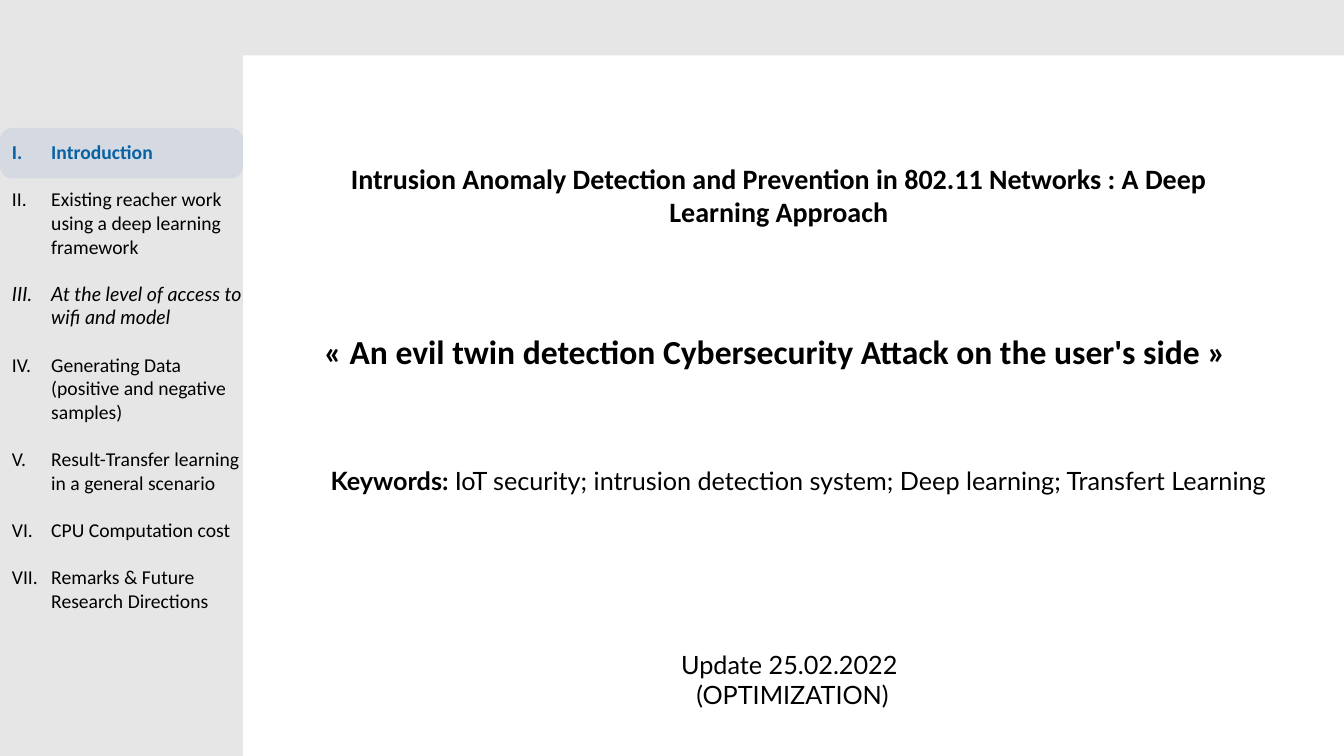
from lxml import etree
from pptx import Presentation
from pptx.dml.color import RGBColor
from pptx.enum.shapes import MSO_SHAPE
from pptx.enum.text import MSO_AUTO_SIZE, PP_ALIGN
from pptx.oxml.ns import qn
from pptx.util import Inches, Pt

RECTANGLE, ROUNDED = MSO_SHAPE.RECTANGLE, MSO_SHAPE.ROUNDED_RECTANGLE
CENTER, LEFT = PP_ALIGN.CENTER, PP_ALIGN.LEFT
FIT_TEXT = MSO_AUTO_SIZE.SHAPE_TO_FIT_TEXT
COLORS = {"panel": "E7E6E6", "highlight": "4472C4", "active": "0060A0", "text": "000000"}

presentation = Presentation()
presentation.slide_width, presentation.slide_height = Inches(13.33), Inches(7.5)
COLUMN = presentation.slide_width / 100
ROW = presentation.slide_height / 100
SIDEBAR = 18.08
slide = presentation.slides.add_slide(presentation.slide_layouts[6])


def span(left, top, width, height):
    """Turn columns and rows of a 100 by 100 grid into slide lengths."""
    return [int(value) for value in (left * COLUMN, top * ROW, width * COLUMN, height * ROW)]


def write(paragraph, text, size=18, font="Lato", color="text", bold=False, italic=False,
          align=CENTER, before=0):
    paragraph.alignment = align
    paragraph.space_before = Pt(before)
    run = paragraph.add_run()
    run.text = text
    run.font.size = Pt(size)
    run.font.name = font
    run.font.bold = bold
    run.font.italic = italic
    run.font.color.rgb = RGBColor.from_string(COLORS[color])


# Grey frame: sidebar and top band
for area in [(0, 0, SIDEBAR, 100), (1.28, 0, 98.72, 7.33)]:
    panel = slide.shapes.add_shape(RECTANGLE, *span(*area))
    panel.shadow.inherit = False
    panel.fill.solid()
    panel.fill.fore_color.rgb = RGBColor.from_string(COLORS["panel"])
    panel.line.fill.background()

# Each text box: its area, then paragraphs made of (text, format) runs
heading = {"font": "Calibri", "bold": True}
menu = {"font": "Calibri", "size": 14, "align": LEFT, "before": 17}
title_area = (21.68, 20.67, 72.54, 29.2)
keywords_area = (21.53, 60.93, 76.22, 5.33)
update_area = (20.86, 85.2, 76.22, 9.47)
menu_area = (-2.85, 17.87, 21.68, 70.4)
text_boxes = [
    (title_area, [
        [("Intrusion Anomaly Detection and Prevention in 802.11 Networks : "
          "A Deep Learning Approach", heading | {"size": 20})],
        [("« An evil twin detection Cybersecurity Attack on the user's side » ",
          heading | {"size": 24, "before": 73})],
    ]),
    (keywords_area, [
        [("Keywords: ", {"bold": True}),
         ("IoT security; intrusion detection system; Deep learning; Transfert Learning ", {})],
    ]),
    (update_area, [[("Update 25.02.2022 ", {})], [("(OPTIMIZATION)", {})]]),
    (menu_area, [
        [("Introduction", menu | {"color": "active", "bold": True, "before": 0})],
        [("Existing reacher work using a deep learning framework", menu)],
        [("At the level of access to wifi and model", menu | {"font": "Lato", "italic": True})],
        [("Generating Data (positive and negative samples)", menu)],
        [("Result-Transfer learning in a general scenario", menu)],
        [("CPU Computation cost", menu)],
        [("Remarks & Future Research Directions", menu)],
    ]),
]
for area, paragraphs in text_boxes:
    frame = slide.shapes.add_textbox(*span(*area)).text_frame
    frame.word_wrap = True
    frame.auto_size = FIT_TEXT
    for index, runs in enumerate(paragraphs):
        paragraph = frame.add_paragraph() if index else frame.paragraphs[0]
        for text, text_format in runs:
            write(paragraph, text, **text_format)
        if area == menu_area:
            properties = paragraph._p.get_or_add_pPr()
            properties.set("marL", str(Inches(0.79)))
            properties.set("indent", str(Inches(-0.39)))
            etree.SubElement(properties, qn("a:buFont"), typeface="+mj-lt")
            etree.SubElement(properties, qn("a:buAutoNum"), type="romanUcPeriod")

# Translucent marker over the current section
marker = slide.shapes.add_shape(ROUNDED, *span(0, 16.93, SIDEBAR, 6.67))
marker.adjustments[0] = 0.24
marker.shadow.inherit = False
marker.fill.solid()
marker.fill.fore_color.rgb = RGBColor.from_string(COLORS["highlight"])
marker.line.fill.background()
fill_color = marker._element.spPr.find(qn("a:solidFill")).find(qn("a:srgbClr"))
etree.SubElement(fill_color, qn("a:alpha"), val="11000")

presentation.save("out.pptx")
